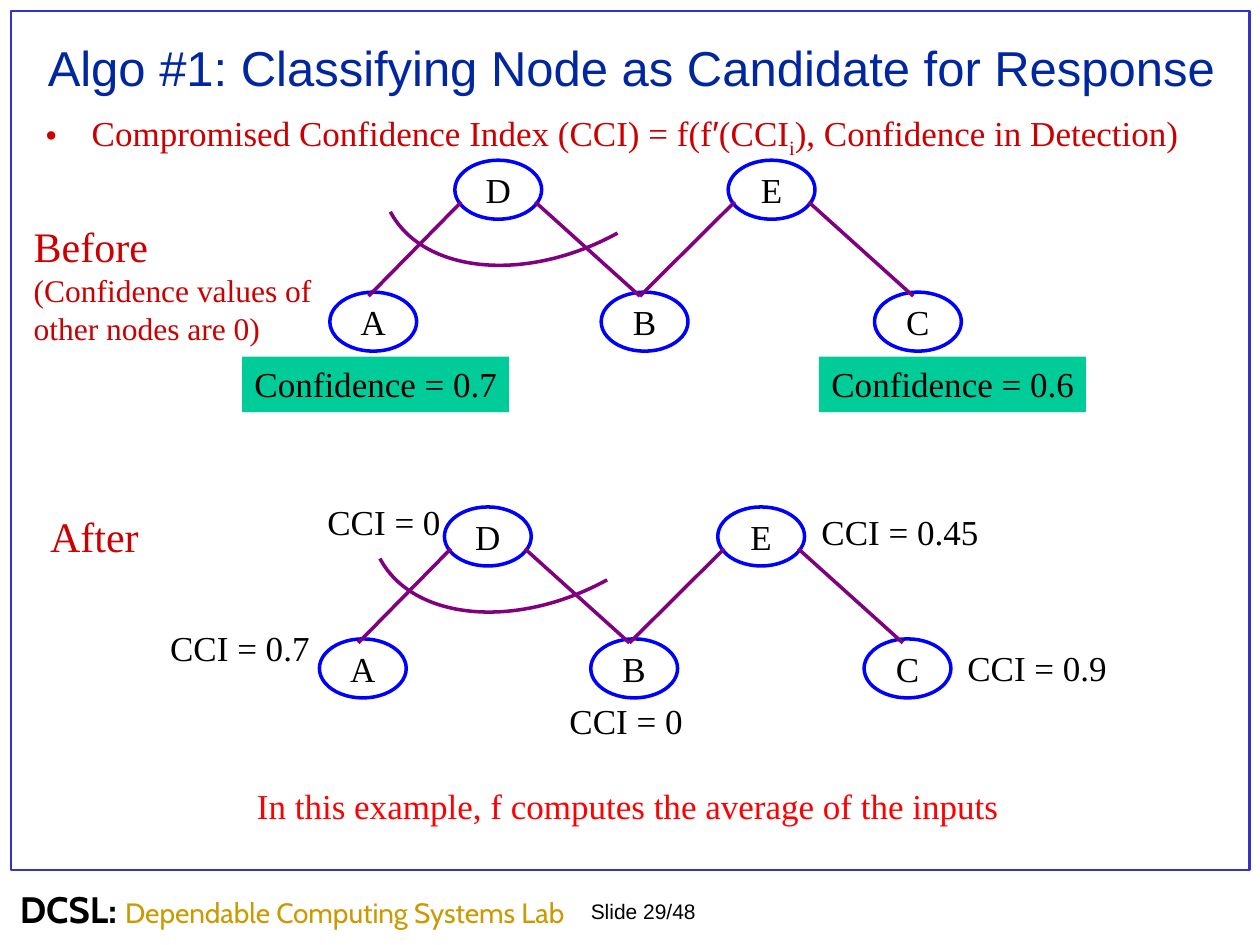
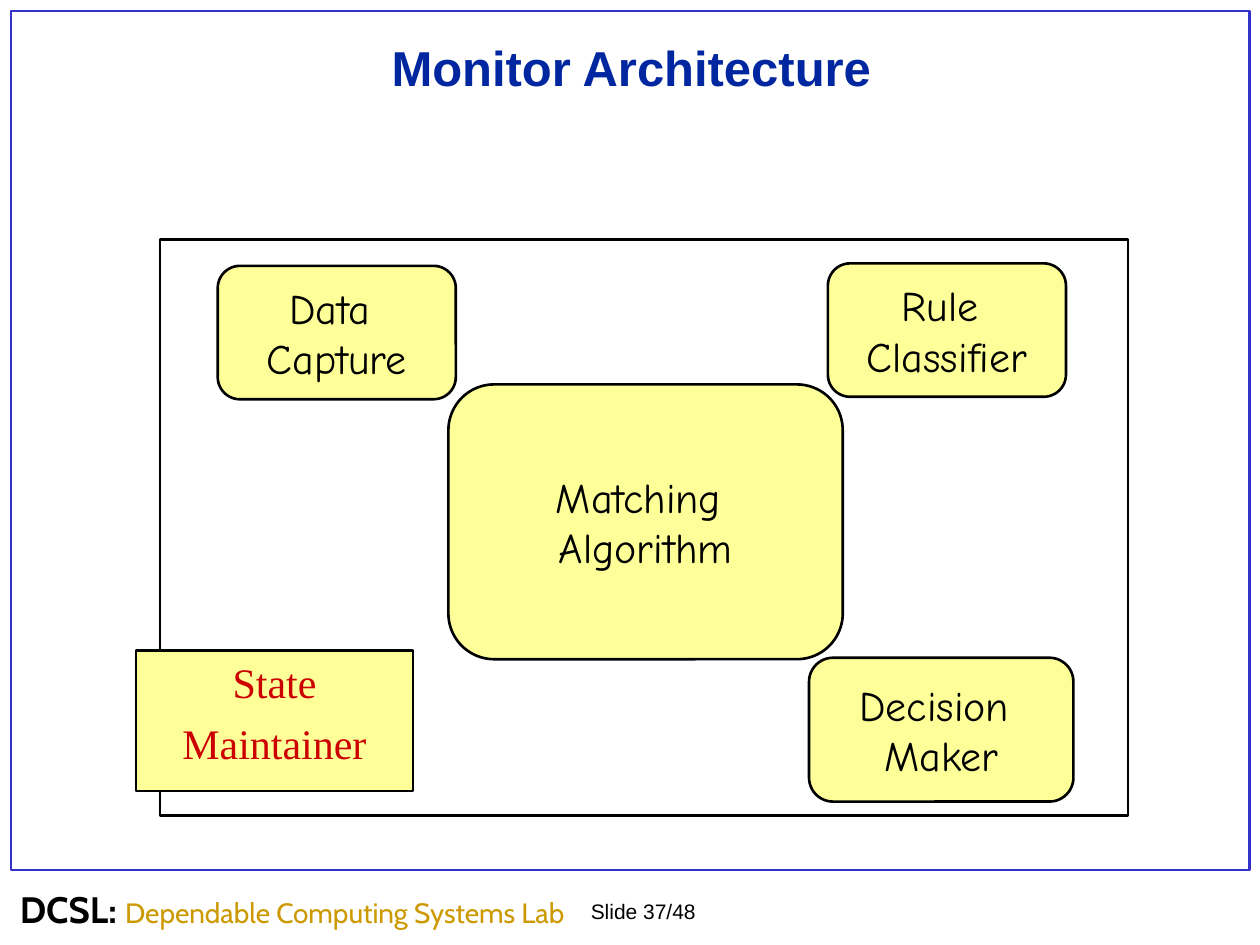
"""Builds two slides on intrusion response: candidate classification and monitor architecture."""
from lxml.etree import SubElement
from pptx import Presentation
from pptx.dml.color import RGBColor
from pptx.enum.shapes import MSO_CONNECTOR, MSO_SHAPE as Preset
from pptx.enum.text import MSO_ANCHOR as Anchor, PP_ALIGN as Align
from pptx.oxml.ns import qn
from pptx.util import Cm, Pt

SERIF, SANS, BRAND, HAND = "Times New Roman", "Arial", "Cabin", "Comic Neue"
BLACK, NAVY, FRAME_BLUE, NODE_BLUE = "000000", "00279F", "3333CC", "0000FF"
DARK_RED, RED, GOLD = "CC0000", "FF0000", "CC9900"
PURPLE, GREEN, YELLOW = "800080", "00CC99", "FFFF99"
hex_color = RGBColor.from_string


def style(shape, fill=None, line=None, width=1.5):
    """Set fill and outline, and drop the shadow."""
    shape.shadow.inherit = False
    if fill:
        shape.fill.solid()
        shape.fill.fore_color.rgb = hex_color(fill)
    else:
        shape.fill.background()
    if line:
        shape.line.color.rgb = hex_color(line)
        shape.line.width = Pt(width)
    else:
        shape.line.fill.background()


def write(shape, text, size=20, font=SERIF, color=BLACK, bold=False, align=Align.LEFT,
          anchor=Anchor.TOP, wrap=False, gap=0, spacing=None, join=False):
    """Append text to a shape, one paragraph a line, and return the last run."""
    frame = shape.text_frame
    frame.word_wrap = wrap
    frame.vertical_anchor = anchor
    for index, line in enumerate(text.split("\n")):
        if index == 0 and (join or not frame.text):
            paragraph = frame.paragraphs[-1]
        else:
            paragraph = frame.add_paragraph()
            paragraph.space_before = Pt(gap)
        paragraph.alignment = align
        if spacing:
            paragraph.line_spacing = spacing
        run = paragraph.add_run()
        run.text = line
        run.font.size = Pt(size)
        run.font.name = font
        run.font.bold = bold
        run.font.color.rgb = hex_color(color)
    return run


deck = Presentation()
deck.slide_width, deck.slide_height = Cm(25.4), Cm(19.05)

pages = []
for heading, number, bold in [
    ("Algo #1: Classifying Node as Candidate for Response", 29, False),
    ("Monitor Architecture", 37, True),
]:
    shapes = deck.slides.add_slide(deck.slide_layouts[6]).shapes
    pages.append(shapes)
    border = shapes.add_shape(Preset.RECTANGLE, Cm(0.22), Cm(0.22), Cm(24.97), Cm(17.32))
    style(border, line=FRAME_BLUE)
    counter = shapes.add_textbox(Cm(11.66), Cm(17.98), Cm(4.09), Cm(0.76))
    write(counter, f"Slide {number}/48", size=12, font=SANS)
    lab = shapes.add_textbox(Cm(0.15), Cm(17.93), Cm(12.42), Cm(1.1))
    write(lab, "DCSL: ", size=21, font=BRAND, bold=True, wrap=True, spacing=0.8)
    write(lab, "Dependable Computing Systems Lab", size=16, font=BRAND, color=GOLD,
          wrap=True, spacing=0.8, join=True)
    title = shapes.add_textbox(Cm(0.61), Cm(0.61), Cm(24.23), Cm(1.47))
    write(title, heading, size=28, font=SANS, color=NAVY, bold=bold, align=Align.CENTER,
          anchor=Anchor.MIDDLE, wrap=True)

classifying, architecture = pages

formula = classifying.add_textbox(Cm(0.66), Cm(2.13), Cm(24.26), Cm(1.37))
bullet = formula.text_frame.paragraphs[0]._p.get_or_add_pPr()
bullet.set("marL", str(Cm(0.94)))
bullet.set("indent", str(-Cm(0.94)))
SubElement(SubElement(bullet, qn("a:buClr")), qn("a:srgbClr"), val=DARK_RED)
SubElement(bullet, qn("a:buFont"), typeface=SERIF)
SubElement(bullet, qn("a:buChar"), char="•")
for part, font in [("Compromised Confidence Index (CCI) = f(f", SERIF), ("′", SANS),
                   ("(CCI", SERIF), ("i", SERIF), ("), Confidence in Detection)", SERIF)]:
    piece = write(formula, part, font=font, color=DARK_RED, wrap=True, join=True)
    if part == "i":
        piece.font._element.set("baseline", "-25000")

nodes = {"D": (9.17, 3.23), "A": (6.65, 5.89), "B": (12.12, 5.89),
         "E": (14.68, 3.23), "C": (17.63, 5.89)}
edges = [("D", "A", 0.13), ("D", "B", 1.62), ("E", "B", 0.13), ("E", "C", 1.62)]
arc_points = [(12.45, 4.7), (10.59, 5.72), (8.53, 5.51), (7.87, 4.27)]

for dx, dy in [(0, 0), (-0.21, 6.99)]:
    for name, (x, y) in nodes.items():
        node = classifying.add_shape(Preset.OVAL, Cm(x + dx), Cm(y + dy), Cm(1.75), Cm(1.19))
        style(node, line=NODE_BLUE, width=2)
        write(node, name, align=Align.CENTER, anchor=Anchor.MIDDLE)
    for parent, child, side in edges:
        (px, py), (cx, cy) = nodes[parent], nodes[child]
        edge = classifying.add_connector(
            MSO_CONNECTOR.STRAIGHT, Cm(px + dx + side), Cm(py + dy + 0.84),
            Cm(cx + dx + 0.78), Cm(cy + dy + 0.08))
        edge.line.color.rgb = hex_color(PURPLE)
        edge.line.width = Pt(2)
        SubElement(edge._element.spPr, qn("a:effectLst"))
    start, *rest = [(Cm(x + dx), Cm(y + dy)) for x, y in arc_points]
    outline = classifying.build_freeform(*start)
    outline.add_line_segments(rest, close=False)
    and_arc = outline.convert_to_shape()
    style(and_arc, line=PURPLE, width=2)
    track = and_arc._element.find(".//" + qn("a:path"))
    curve = SubElement(track, qn("a:cubicBezTo"))
    for segment in track.findall(qn("a:lnTo")):
        curve.append(segment[0])
        track.remove(segment)

for value, left in [("0.7", 4.88), ("0.6", 16.51)]:
    confidence = classifying.add_shape(Preset.RECTANGLE, Cm(left), Cm(7.19), Cm(5.38), Cm(1.12))
    style(confidence, fill=GREEN)
    write(confidence, f"Confidence = {value}")

before = classifying.add_textbox(Cm(0.43), Cm(4.32), Cm(6.27), Cm(2.79))
write(before, "Before", size=24, color=DARK_RED)
write(before, "(Confidence values of\nother nodes are 0)", size=18, color=DARK_RED)
after = classifying.add_textbox(Cm(0.76), Cm(10.16), Cm(2.5), Cm(1.27))
write(after, "After", size=24, color=DARK_RED, wrap=True)

for value, left, top, width in [("0.7", 3.18, 12.5, 3.5), ("0", 11.23, 13.97, 3),
                                ("0", 6.35, 9.96, 3), ("0.45", 16.31, 10.16, 4),
                                ("0.9", 19.25, 12.9, 3.5)]:
    index_label = classifying.add_textbox(Cm(left), Cm(top), Cm(width), Cm(1.12))
    write(index_label, f"CCI = {value}", wrap=True)

conclusion = classifying.add_textbox(Cm(4.93), Cm(15.7), Cm(16), Cm(1.12))
write(conclusion, "In this example, f computes the average of the inputs", color=RED, wrap=True)

monitor = architecture.add_shape(Preset.RECTANGLE, Cm(3.23), Cm(4.83), Cm(19.51), Cm(11.61))
style(monitor, line=BLACK)

rounded = Preset.FLOWCHART_ALTERNATE_PROCESS
hand_look = dict(font=HAND, anchor=Anchor.MIDDLE)
state_look = dict(color=DARK_RED, gap=6, wrap=True)
for label, preset, box, look in [
    ("Matching \nAlgorithm", rounded, (9.04, 7.75, 7.95, 5.54), hand_look),
    ("State\nMaintainer", Preset.RECTANGLE, (2.74, 13.11, 5.59, 2.84), state_look),
    ("Data \nCapture", rounded, (4.39, 5.36, 4.8, 2.69), hand_look),
    ("Rule \nClassifier", rounded, (16.69, 5.31, 4.8, 2.69), hand_look),
    ("Decision \nMaker", rounded, (16.31, 13.26, 5.33, 2.9), hand_look),
]:
    component = architecture.add_shape(preset, *map(Cm, box))
    style(component, fill=YELLOW, line=BLACK)
    write(component, label, size=24, align=Align.CENTER, **look)

deck.save("out.pptx")
